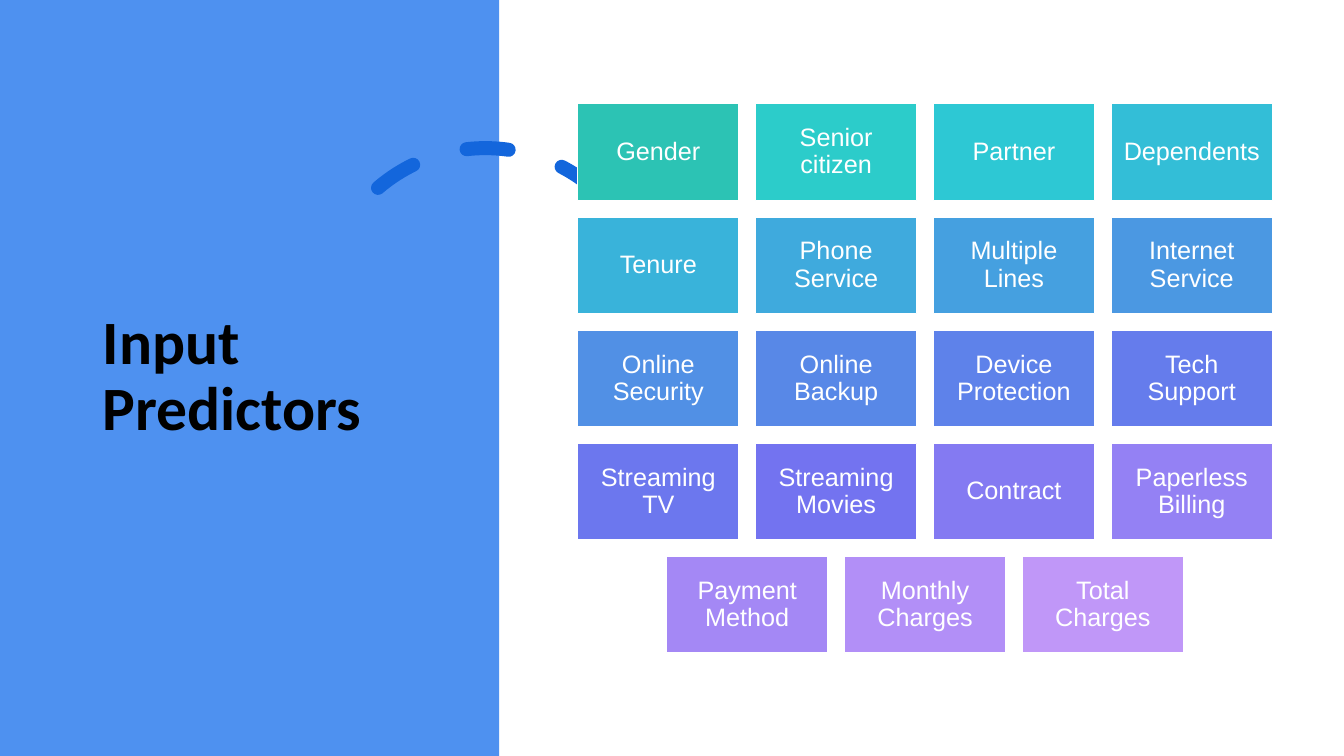
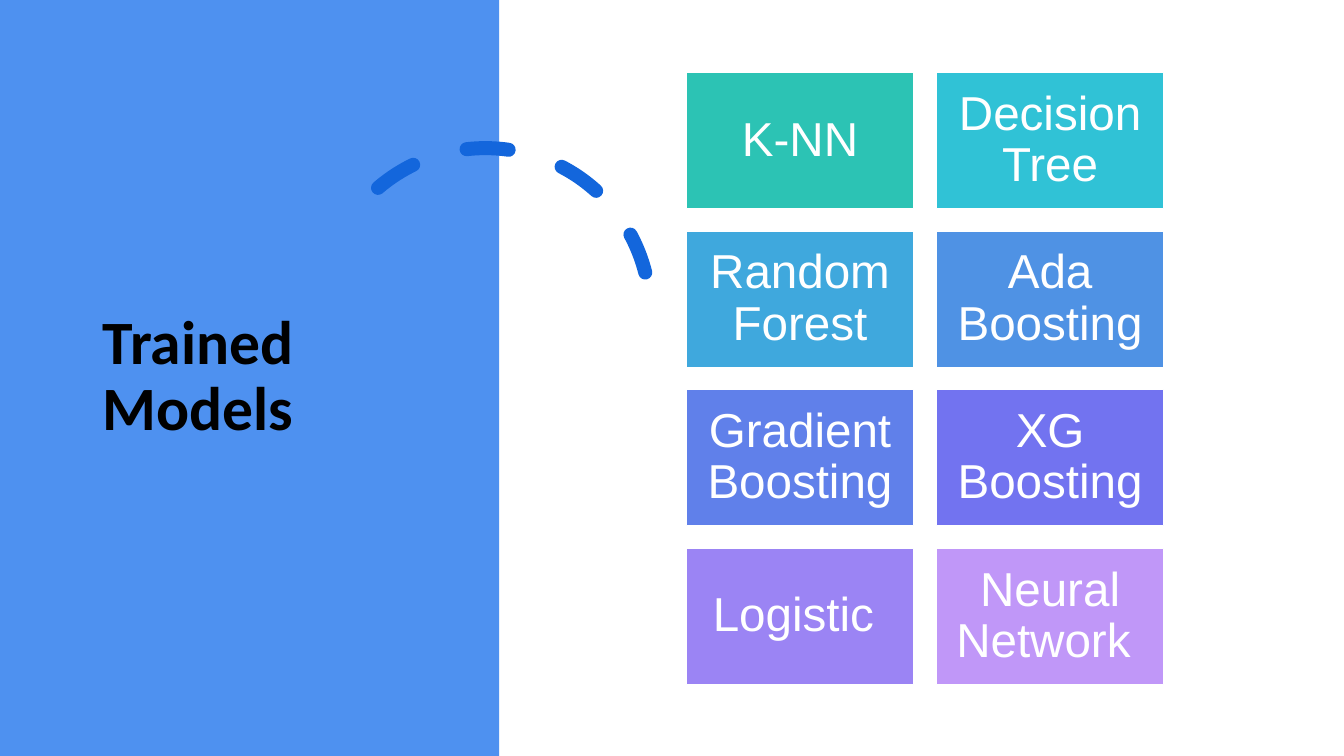
from dataclasses import dataclass

from pptx import Presentation
from pptx import util as u
from pptx.dml.color import RGBColor
from pptx.enum import dml, shapes, text
from pptx.oxml.ns import qn

PX = 9144


def px(length):
    return u.Emu(round(length * PX))


@dataclass(frozen=True)
class Theme:
    band: str = "4E91F0"
    arc: str = "1366DC"
    title: str = "000000"
    light: str = "FFFFFF"
    title_font: str = "Calibri"
    tile_font: str = "Arial"
    title_size: int = 44
    small_tile_size: int = 18
    large_tile_size: int = 34
    predictor_fills: tuple = (
        "2CC3B4", "2CCCCA", "2DC8D4", "33BED7",
        "39B3DA", "3FAADD", "45A0E0", "4B98E2",
        "5190E5", "5888E7", "5E82EA", "657CEC",
        "6C77EE", "7373F0", "847AF2", "9481F4",
        "A488F5", "B28FF7", "C097F8",
    )
    model_fills: tuple = (
        "2CC3B4", "30C2D6", "3FA8DD", "4F92E4",
        "6080EA", "7273F0", "9B84F4", "C097F8",
    )


class Deck:
    """Builds slides of a titled side band and a grid of coloured tiles."""

    def __init__(self, theme):
        self.theme = theme
        self.prs = Presentation()
        self.prs.slide_width, self.prs.slide_height = px(1333), px(750)
        self.slide = None

    def new_slide(self, heading):
        self.slide = self.prs.slides.add_slide(self.prs.slide_layouts[5])
        self.band()
        self.arc()
        self.title(heading)

    def shape(self, kind, left, top, width, height):
        shape = self.slide.shapes.add_shape(
            kind, px(left), px(top), px(width), px(height))
        shape.shadow.inherit = False
        return shape

    def rectangle(self, left, top, width, height, fill):
        rectangle = self.shape(
            shapes.MSO_SHAPE.RECTANGLE, left, top, width, height)
        rectangle.fill.solid()
        rectangle.fill.fore_color.rgb = RGBColor.from_string(fill)
        return rectangle

    def band(self):
        band = self.rectangle(0, 0, 495, 750, self.theme.band)
        band.line.fill.background()

    def arc(self):
        arc = self.shape(shapes.MSO_SHAPE.ARC, 318, 147, 327, 327)
        arc.adjustments[0] = 146.13
        arc.adjustments[1] = 0
        arc.rotation = 345.8
        arc.fill.background()
        arc.line.color.rgb = RGBColor.from_string(self.theme.arc)
        arc.line.width = u.Pt(10)
        arc.line.dash_style = dml.MSO_LINE.DASH
        arc.element.spPr.find(qn("a:ln")).set("cap", "rnd")

    def set_text(self, frame, words, font, size, color, align, bold=False):
        frame.word_wrap = True
        frame.auto_size = text.MSO_AUTO_SIZE.NONE
        frame.vertical_anchor = text.MSO_ANCHOR.MIDDLE
        paragraph = frame.paragraphs[0]
        paragraph.text = words
        paragraph.alignment = align
        paragraph.line_spacing = 0.9
        paragraph.font.name = font
        paragraph.font.size = u.Pt(size)
        paragraph.font.bold = bold
        paragraph.font.color.rgb = RGBColor.from_string(color)

    def title(self, heading):
        title = self.slide.shapes.title
        title.left, title.top = px(92), px(70)
        title.width, title.height = px(323), px(609)
        self.set_text(title.text_frame, heading, self.theme.title_font,
                      self.theme.title_size, self.theme.title,
                      text.PP_ALIGN.LEFT, bold=True)
        title.element.getparent().append(title.element)

    def tile(self, left, top, width, height, label, fill, size, inset):
        tile = self.rectangle(left, top, width, height, fill)
        tile.line.color.rgb = RGBColor.from_string(self.theme.light)
        tile.line.width = u.Pt(1)
        frame = tile.text_frame
        frame.margin_left = frame.margin_right = px(inset)
        frame.margin_top = frame.margin_bottom = px(inset)
        self.set_text(frame, label, self.theme.tile_font, size,
                      self.theme.light, text.PP_ALIGN.CENTER)

    def tile_grid(self, labels, fills, area, tile_size, columns, size, inset):
        left, top, width, height = area
        tile_width, tile_height = tile_size
        rows = -(-len(labels) // columns)
        step_x = (width - tile_width) / (columns - 1)
        step_y = (height - tile_height) / (rows - 1)
        for index, (label, fill) in enumerate(zip(labels, fills)):
            row, column = divmod(index, columns)
            in_row = min(columns, len(labels) - row * columns)
            indent = (columns - in_row) * step_x / 2
            self.tile(left + indent + column * step_x, top + row * step_y,
                      tile_width, tile_height, label, fill, size, inset)


def main():
    theme = Theme()
    deck = Deck(theme)

    deck.new_slide("Input Predictors")
    predictors = (
        "Gender", "Senior citizen", "Partner", "Dependents",
        "Tenure", "Phone Service", "Multiple Lines", "Internet Service",
        "Online Security", "Online Backup", "Device Protection",
        "Tech Support", "Streaming TV", "Streaming Movies", "Contract",
        "Paperless Billing", "Payment Method", "Monthly Charges",
        "Total Charges",
    )
    deck.tile_grid(predictors, theme.predictor_fills, (573, 103, 689, 545),
                   (160, 96), 4, theme.small_tile_size, 7)

    deck.new_slide("Trained Models")
    models = (
        "K-NN", "Decision Tree", "Random Forest", "Ada Boosting",
        "Gradient Boosting", "XG Boosting", "Logistic ", "Neural Network ",
    )
    deck.tile_grid(models, theme.model_fills, (681, 72, 473, 607),
                   (225, 135), 2, theme.large_tile_size, 14)

    deck.prs.save("out.pptx")


if __name__ == "__main__":
    main()
